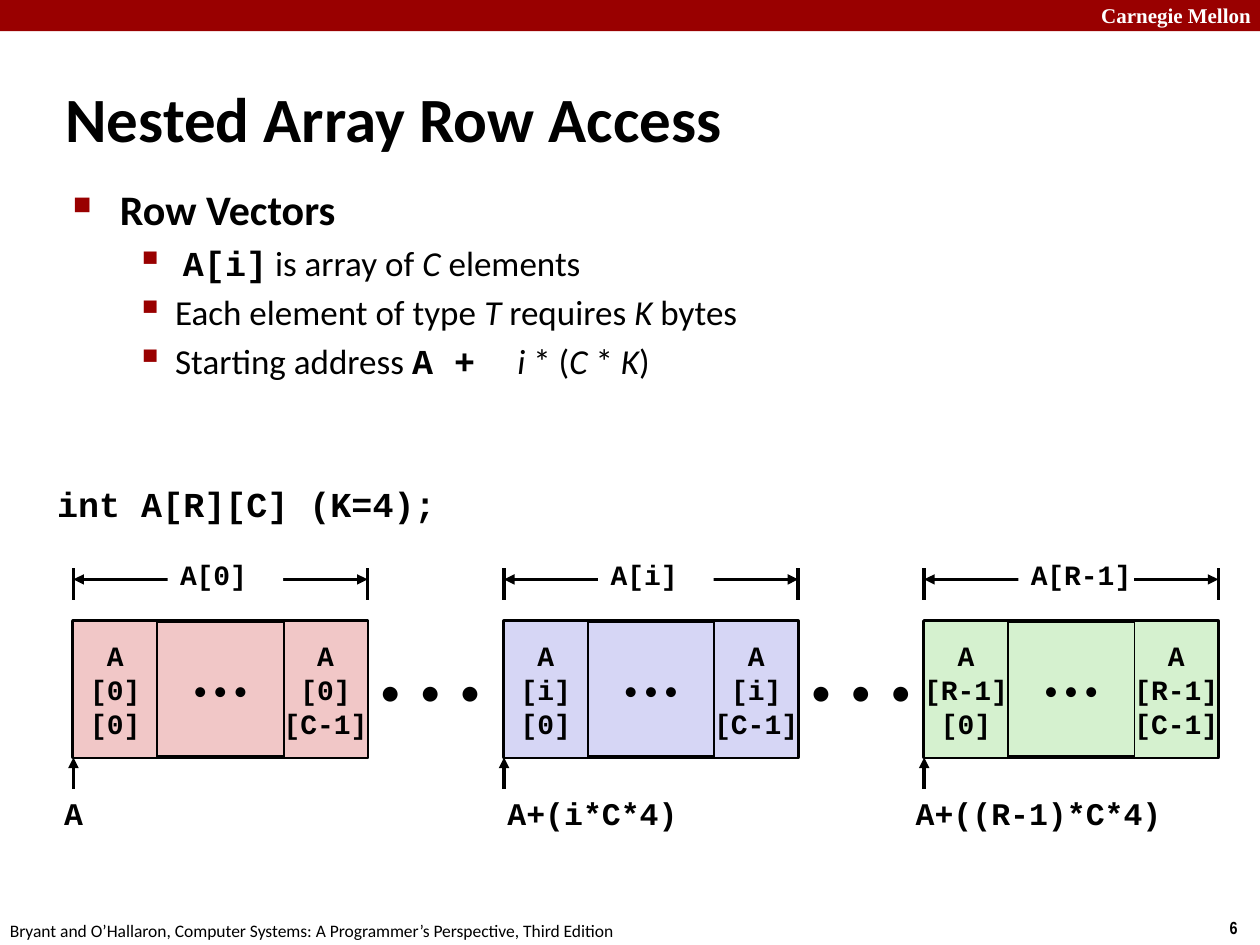
from dataclasses import dataclass
from typing import NamedTuple

from lxml.etree import SubElement as Sub
from pptx import Presentation
from pptx.dml.color import RGBColor as Rgb
from pptx.enum.shapes import MSO_CONNECTOR as Link, MSO_SHAPE as Kind
from pptx.enum.text import MSO_ANCHOR as Anchor, PP_ALIGN as Align
from pptx.oxml.ns import qn
from pptx.util import Cm, Pt

BLACK, WHITE, RED = "000000", "FFFFFF", "990000"
SANS, MONO = "Calibri", "Courier New"
TOP, HIGH, WIDE, CELL, GAP = 12.52, 2.75, 5.93, 1.69, 2.75


class Box(NamedTuple):
    x: float
    y: float
    w: float
    h: float


class Run(NamedTuple):
    text: str
    font: str = SANS
    bold: bool = False
    slant: bool = False


@dataclass
class Row:
    x: float
    key: str
    fill: str
    start: str
    spot: Box
    align: Align = Align.LEFT


@dataclass
class Point:
    runs: list[Run]
    size: int = 20
    level: int = 1
    left: float = 2.06
    hang: float = 0.79
    mark: str = "▪"
    scale: int = 110
    before: float = 4


ROWS = [
    Row(1.48, "0", "F1C7C7", "A", Box(0.94, 15.88, 1.09, 1.02), Align.CENTER),
    Row(10.16, "i", "D6D6F5", "A+(i*C*4)", Box(9.98, 15.88, 5.03, 1.02)),
    Row(18.63, "R-1", "D5F1CF", "A+((R-1)*C*4)", Box(18.21, 15.88, 6.35, 1.02)),
]

POINTS = [
    Point([Run("Row Vectors", bold=True)], 24, 0, 0.95, 0.95, "■", 60, 0),
    Point([Run(" "), Run("A[i]", MONO, True), Run(" is array of "),
           Run("C", slant=True), Run(" elements")]),
    Point([Run("Each element of type "), Run("T ", slant=True), Run("requires "),
           Run("K ", slant=True), Run("bytes")]),
    Point([Run("Starting address "), Run("A +  ", MONO, True), Run("i", slant=True),
           Run(" * ("), Run("C ", slant=True), Run("* "), Run("K", slant=True),
           Run(")")]),
]


def tint(code: str) -> Rgb:
    return Rgb.from_string(code)


def style(run, size: int, font: str, color: str, bold: bool, slant: bool = False):
    face = run.font
    face.size, face.name, face.bold, face.italic = Pt(size), font, bold, slant
    face.color.rgb = tint(color)


def write(shape, text: str, *, size: int, font: str = MONO, color: str = BLACK,
          bold: bool = True, align: Align = Align.LEFT, wrap: bool = False,
          anchor: Anchor = Anchor.TOP):
    frame = shape.text_frame
    frame.word_wrap, frame.vertical_anchor = wrap, anchor
    frame.text = text
    for para in frame.paragraphs:
        para.alignment = align
        style(para.runs[0], size, font, color, bold)


def label(slide, box: Box, text: str, **form):
    write(slide.shapes.add_textbox(*map(Cm, box)), text, **form)


def block(slide, box: Box, fill: str, edge: float = 0):
    shape = slide.shapes.add_shape(Kind.RECTANGLE, *map(Cm, box))
    shape.shadow.inherit = False
    shape.fill.solid()
    shape.fill.fore_color.rgb = tint(fill)
    if edge:
        shape.line.color.rgb = tint(BLACK)
        shape.line.width = Pt(edge)
    else:
        shape.line.fill.background()
    return shape


def rule(slide, x1: float, y1: float, x2: float, y2: float, ends: tuple = ()):
    link = slide.shapes.add_connector(Link.STRAIGHT, *map(Cm, (x1, y1, x2, y2)))
    link.line.color.rgb = tint(BLACK)
    link.line.width = Pt(2)
    props = link._element.spPr
    for end in ends:
        Sub(props.find(qn("a:ln")), qn(f"a:{end}"), type="triangle")
    Sub(props, qn("a:effectLst"))


def bullet(para, point: Point):
    props = para._p.get_or_add_pPr()
    props.set("marL", str(Cm(point.left)))
    props.set("indent", str(-Cm(point.hang)))
    Sub(Sub(props, qn("a:buClr")), qn("a:srgbClr"), val=RED)
    Sub(props, qn("a:buSzPct"), val=str(point.scale * 1000))
    Sub(props, qn("a:buChar"), char=point.mark)
    para.level = point.level
    para.space_before = Pt(point.before)
    for part in point.runs:
        run = para.add_run()
        run.text = part.text
        style(run, point.size, part.font, BLACK, part.bold, part.slant)


def points(slide, box: Box):
    frame = slide.shapes.add_textbox(*map(Cm, box)).text_frame
    frame.word_wrap = True
    for num, point in enumerate(POINTS):
        bullet(frame.add_paragraph() if num else frame.paragraphs[0], point)


def draw(slide, row: Row):
    mid = dict(size=16, anchor=Anchor.MIDDLE)
    end = row.x + WIDE
    body = block(slide, Box(row.x, TOP, WIDE, HIGH), row.fill, 2.25)
    write(body, "• • •", font=SANS, bold=False, align=Align.CENTER, **mid)
    for x, col in ((row.x, "0"), (end - CELL, "C-1")):
        cell = block(slide, Box(x, TOP, CELL, HIGH), row.fill, 1)
        write(cell, f"A\n[{row.key}]\n[{col}]", align=Align.CENTER, **mid)
    for x in (row.x, end):
        rule(slide, x, 11.46, x, 12.09)
    rule(slide, row.x, 11.68, end, 11.68, ("headEnd", "tailEnd"))
    name = block(slide, Box(row.x + 1.9, 11.05, 2.33, 1.06), WHITE)
    write(name, f"A[{row.key}]", **mid)
    rule(slide, row.x, 15.9, row.x, TOP + HIGH, ("tailEnd",))
    label(slide, row.spot, row.start, size=18, align=row.align, wrap=True)


def main():
    deck = Presentation()
    deck.slide_width, deck.slide_height = Cm(25.4), Cm(19.05)
    slide = deck.slides.add_slide(deck.slide_layouts[6])
    block(slide, Box(0, 0, 25.4, 0.63), RED)
    label(slide, Box(21.95, -0.08, 3.63, 0.76), "Carnegie Mellon", size=12,
          font="Times New Roman", color=WHITE, wrap=True)
    label(slide, Box(24.54, 18.36, 0.86, 0.69), "6", size=10, font="Arial Narrow")
    label(slide, Box(-0.05, 18.42, 12.9, 0.69),
          "Bryant and O’Hallaron, Computer Systems: "
          "A Programmer’s Perspective, Third Edition",
          size=10, font=SANS, bold=False)
    label(slide, Box(1.07, 1.57, 19.25, 1.6), "Nested Array Row Access", size=36,
          font=SANS, wrap=True, anchor=Anchor.MIDDLE)
    points(slide, Box(1.22, 3.58, 16.56, 4.04))
    label(slide, Box(0.84, 9.6, 8.2, 1.12), "int A[R][C] (K=4);", size=20,
          align=Align.RIGHT)
    for row in ROWS[:-1]:
        dots = block(slide, Box(row.x + WIDE, TOP, GAP, HIGH), WHITE)
        write(dots, "•  •  •", size=24, font=SANS, bold=False, anchor=Anchor.MIDDLE)
    for row in ROWS:
        draw(slide, row)
    deck.save("out.pptx")


if __name__ == "__main__":
    main()
